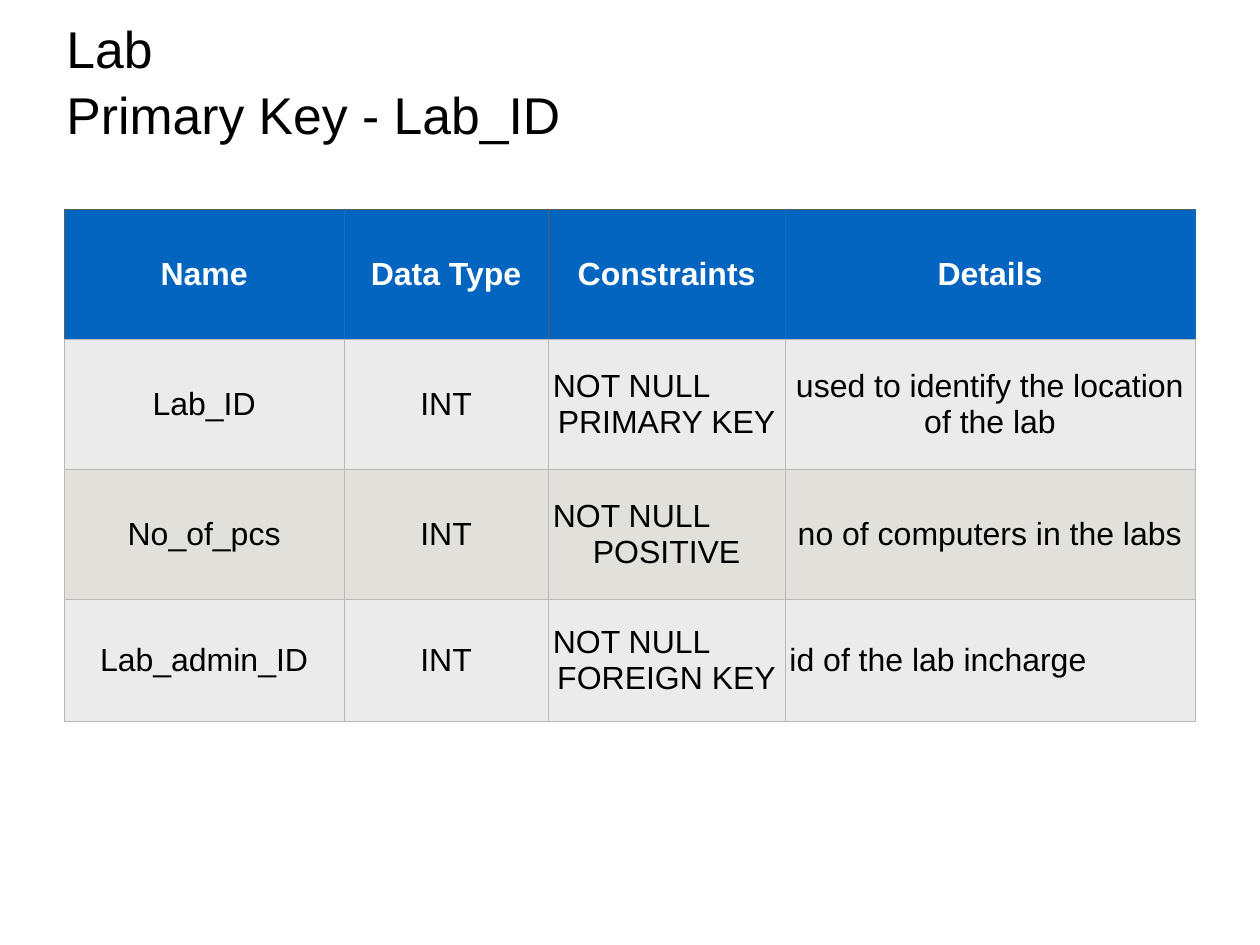
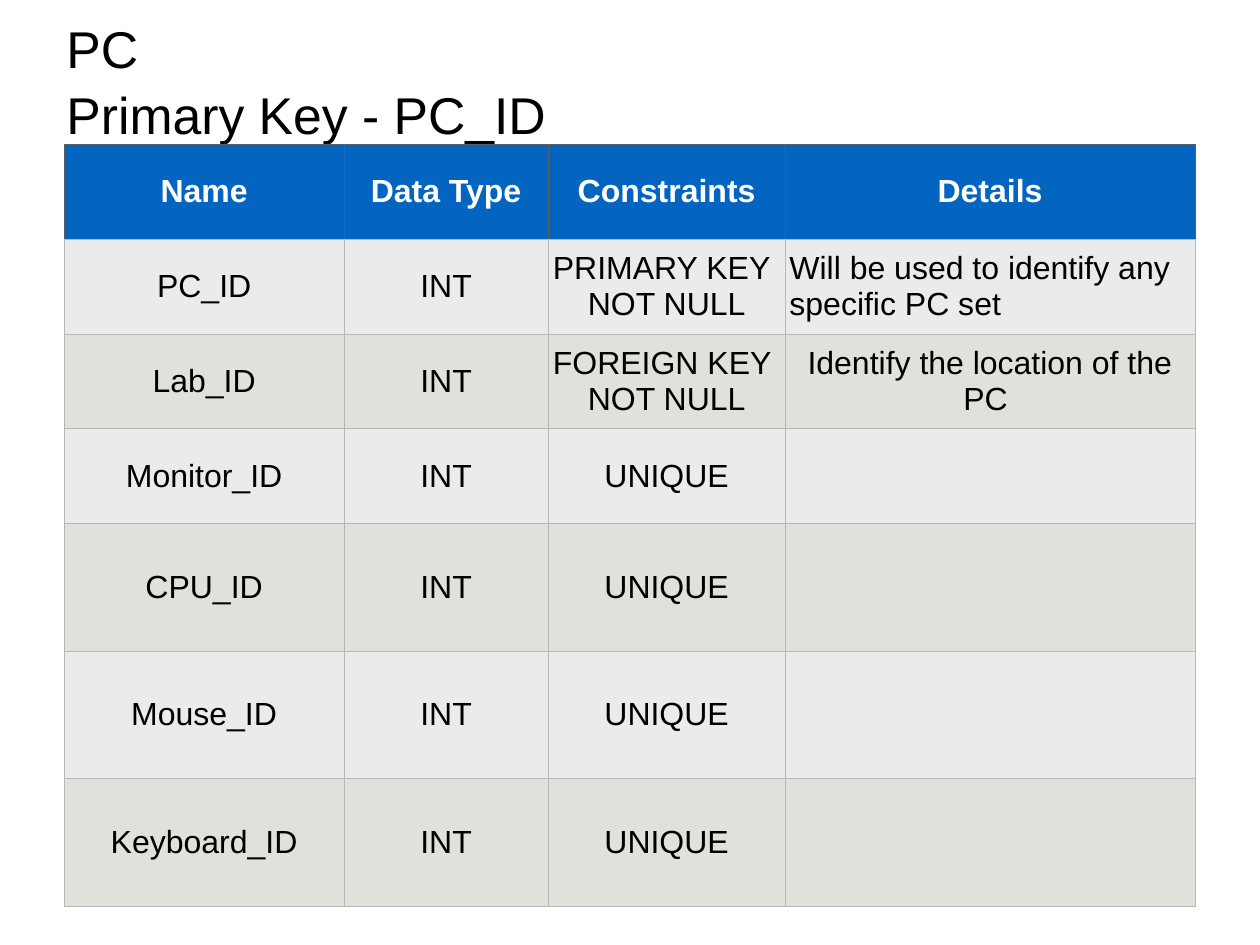
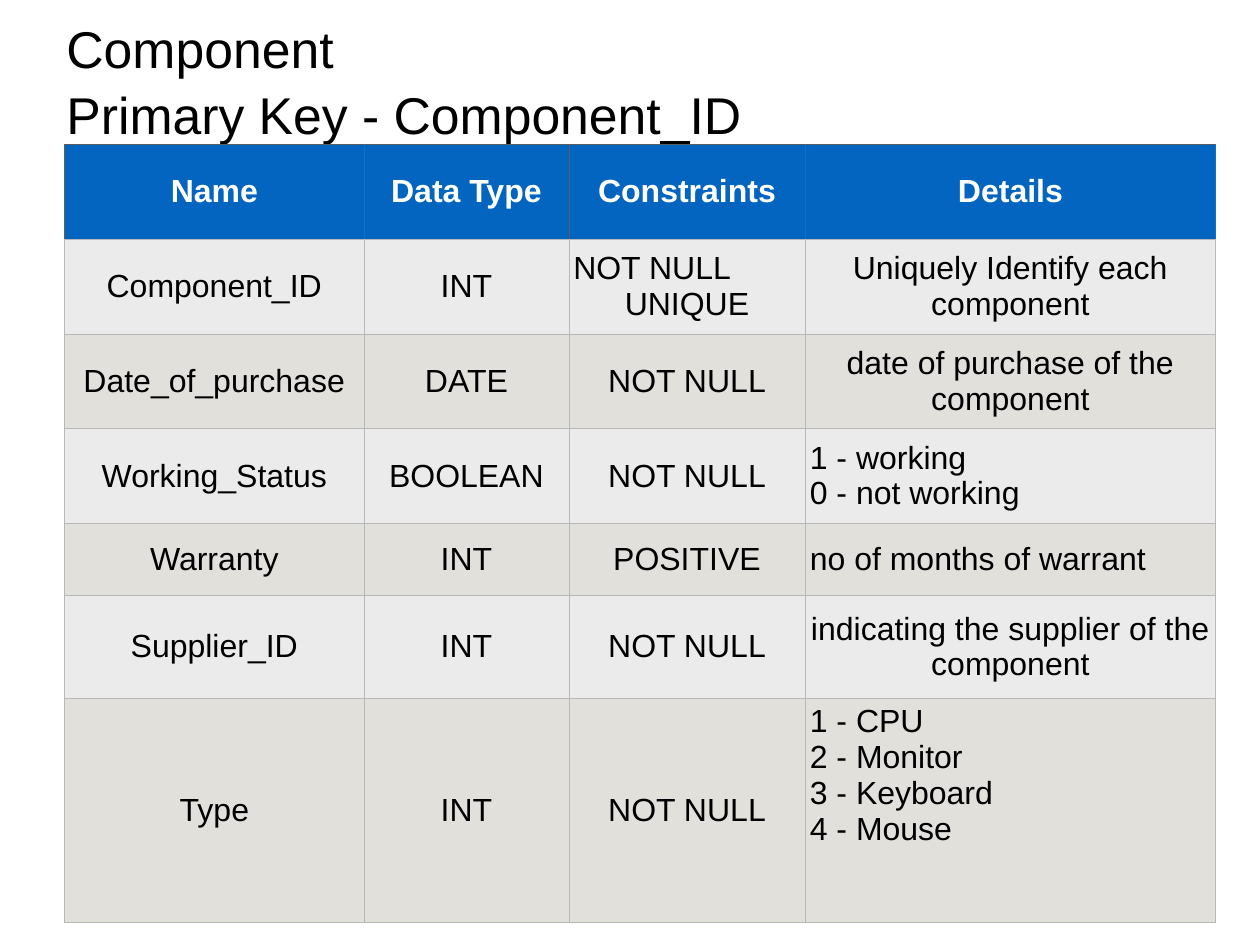
from dataclasses import dataclass

from lxml import etree
from pptx import Presentation
from pptx.dml.color import RGBColor
from pptx.enum.text import MSO_ANCHOR, PP_ALIGN
from pptx.oxml.ns import qn
from pptx.util import Inches, Pt

LEFT, CENTER = PP_ALIGN.LEFT, PP_ALIGN.CENTER
TOP, MIDDLE = MSO_ANCHOR.TOP, MSO_ANCHOR.MIDDLE

BLACK = RGBColor(0x00, 0x00, 0x00)
WHITE = RGBColor(0xFF, 0xFF, 0xFF)
HEADER_BLUE = RGBColor(0x03, 0x65, 0xC0)
BAND_FILLS = (RGBColor(0xEB, 0xEB, 0xEB), RGBColor(0xE1, 0xE0, 0xDA))
GRID_GREY = RGBColor(0xB8, 0xB8, 0xB8)
HEADER_EDGE = RGBColor(0x5A, 0x5F, 0x5E)
HEADER_RULE = RGBColor(0x10, 0x70, 0xC8)

FONT = "Arial"
TITLE_SIZE, TABLE_SIZE = Pt(42), Pt(26)
PAGE_WIDTH, PAGE_HEIGHT = Inches(14.22), Inches(10.67)
TITLE_BOX = (Inches(0.43), Inches(0.13), Inches(13.36), Inches(1.45))
TABLE_LEFT = 0.73
COLUMNS = (3.15, 2.31, 2.67, 4.63)
WIDE_COLUMNS = (3.38,) + COLUMNS[1:]
HEADINGS = ("Name", "Data Type", "Constraints", "Details")
HEADER_SIDES = (HEADER_EDGE, HEADER_RULE, HEADER_EDGE, HEADER_RULE, HEADER_RULE)


@dataclass
class Field:
    """One row of a schema table."""
    name: str
    kind: str
    constraints: str
    details: str = ""
    details_align: PP_ALIGN = CENTER


@dataclass
class Entity:
    """One slide: an entity, its key and its fields."""
    name: str
    top: float
    columns: tuple
    rows: tuple
    fields: tuple


ENTITIES = (
    Entity("Lab", 2.36, COLUMNS, (1.47,) * 3 + (1.38,), (
        Field("Lab_ID", "INT", "NOT NULL\nPRIMARY KEY", "used to identify the location of the lab"),
        Field("No_of_pcs", "INT", "NOT NULL\nPOSITIVE", "no of computers in the labs"),
        Field("Lab_admin_ID", "INT", "NOT NULL\nFOREIGN KEY", "id of the lab incharge", LEFT),
    )),
    Entity("PC", 1.63, COLUMNS, (1.07,) * 4 + (1.44,) * 3, (
        Field("PC_ID", "INT", "PRIMARY KEY\nNOT NULL",
              "Will be used to identify any specific PC set", LEFT),
        Field("Lab_ID", "INT", "FOREIGN KEY\nNOT NULL", "Identify the location of the PC "),
        *(Field(f"{part}_ID", "INT", "UNIQUE") for part in ("Monitor", "CPU", "Mouse", "Keyboard")),
    )),
    Entity("Component", 1.63, WIDE_COLUMNS, (1.07,) * 4 + (0.81, 1.17, 2.53), (
        Field("Component_ID", "INT", "NOT NULL\nUNIQUE", "Uniquely Identify each component"),
        Field("Date_of_purchase", "DATE", "NOT NULL", "date of purchase of the component"),
        Field("Working_Status", "BOOLEAN", "NOT NULL", "1 - working\n0 - not working", LEFT),
        Field("Warranty", "INT", "POSITIVE", "no of months of warrant", LEFT),
        Field("Supplier_ID", "INT", "NOT NULL", "indicating the supplier of the component"),
        Field("Type", "INT", "NOT NULL", "1 - CPU\n2 - Monitor\n3 - Keyboard\n4 - Mouse", LEFT),
    )),
)


def style_runs(para, size, color, bold=False):
    """Give every run of a paragraph the deck's font."""
    for span in para.runs:
        span.font.name, span.font.size = FONT, size
        span.font.bold, span.font.color.rgb = bold, color


def set_borders(cell, colors):
    """Draw thin left, right, top and bottom borders on a cell."""
    properties = cell._tc.get_or_add_tcPr()
    for position, (tag, color) in enumerate(zip(("a:lnL", "a:lnR", "a:lnT", "a:lnB"), colors)):
        line = etree.Element(qn(tag), w=str(Pt(0.5)))
        fill = etree.SubElement(line, qn("a:solidFill"))
        etree.SubElement(fill, qn("a:srgbClr"), val=str(color))
        properties.insert(position, line)


def fill_cell(cell, text, aligns, fill, color, bold=False):
    """Set the text, alignment per line and fill of a cell."""
    cell.fill.solid()
    cell.fill.fore_color.rgb = fill
    cell.margin_left = cell.margin_right = Inches(0.05)
    cell.margin_top = cell.margin_bottom = Inches(0.06)
    cell.text_frame.text = text
    paras = cell.text_frame.paragraphs
    cell.vertical_anchor = TOP if len(paras) > 2 else MIDDLE
    for index, para in enumerate(paras):
        para.alignment = aligns[min(index, len(aligns) - 1)]
        style_runs(para, TABLE_SIZE, color, bold)


def add_title(page, box, name):
    """Place the entity name and its primary key in a box."""
    frame = page.shapes.add_textbox(*box).text_frame
    frame.word_wrap = True
    frame.margin_left, frame.margin_top = Inches(0.32), Inches(0.06)
    frame.margin_right = frame.margin_bottom = 0
    frame.text = f"{name}\nPrimary Key - {name}_ID"
    for para in frame.paragraphs:
        style_runs(para, TITLE_SIZE, BLACK)
    frame.paragraphs[1].space_before = Pt(3.5)


def add_schema_table(page, left, top, entity):
    """Place the table of an entity's fields."""
    columns, rows = entity.columns, entity.rows
    table = page.shapes.add_table(
        len(rows), len(columns), Inches(left), Inches(top),
        Inches(sum(columns)), Inches(sum(rows))).table
    table.horz_banding = False
    for column, width in zip(table.columns, columns):
        column.width = Inches(width)
    for row, height in zip(table.rows, rows):
        row.height = Inches(height)
    for index, heading in enumerate(HEADINGS):
        cell = table.cell(0, index)
        fill_cell(cell, heading, (CENTER,), HEADER_BLUE, WHITE, True)
        set_borders(cell, HEADER_SIDES[index:index + 2] + (HEADER_EDGE, GRID_GREY))
    for number, field in enumerate(entity.fields):
        constraint_aligns = (LEFT, CENTER) if "\n" in field.constraints else (CENTER,)
        contents = (
            (field.name, (CENTER,)),
            (field.kind, (CENTER,)),
            (field.constraints, constraint_aligns),
            (field.details, (field.details_align,)),
        )
        for index, (text, aligns) in enumerate(contents):
            cell = table.cell(number + 1, index)
            fill_cell(cell, text, aligns, BAND_FILLS[number % 2], BLACK)
            set_borders(cell, (GRID_GREY,) * 4)


def add_entity_slide(deck, entity):
    """Add a slide with an entity's title and table."""
    page = deck.slides.add_slide(deck.slide_layouts[6])
    add_title(page, TITLE_BOX, entity.name)
    add_schema_table(page, TABLE_LEFT, entity.top, entity)


def main():
    """Build and save the deck."""
    deck = Presentation()
    deck.slide_width, deck.slide_height = PAGE_WIDTH, PAGE_HEIGHT
    for entity in ENTITIES:
        add_entity_slide(deck, entity)
    deck.save("out.pptx")


if __name__ == "__main__":
    main()
